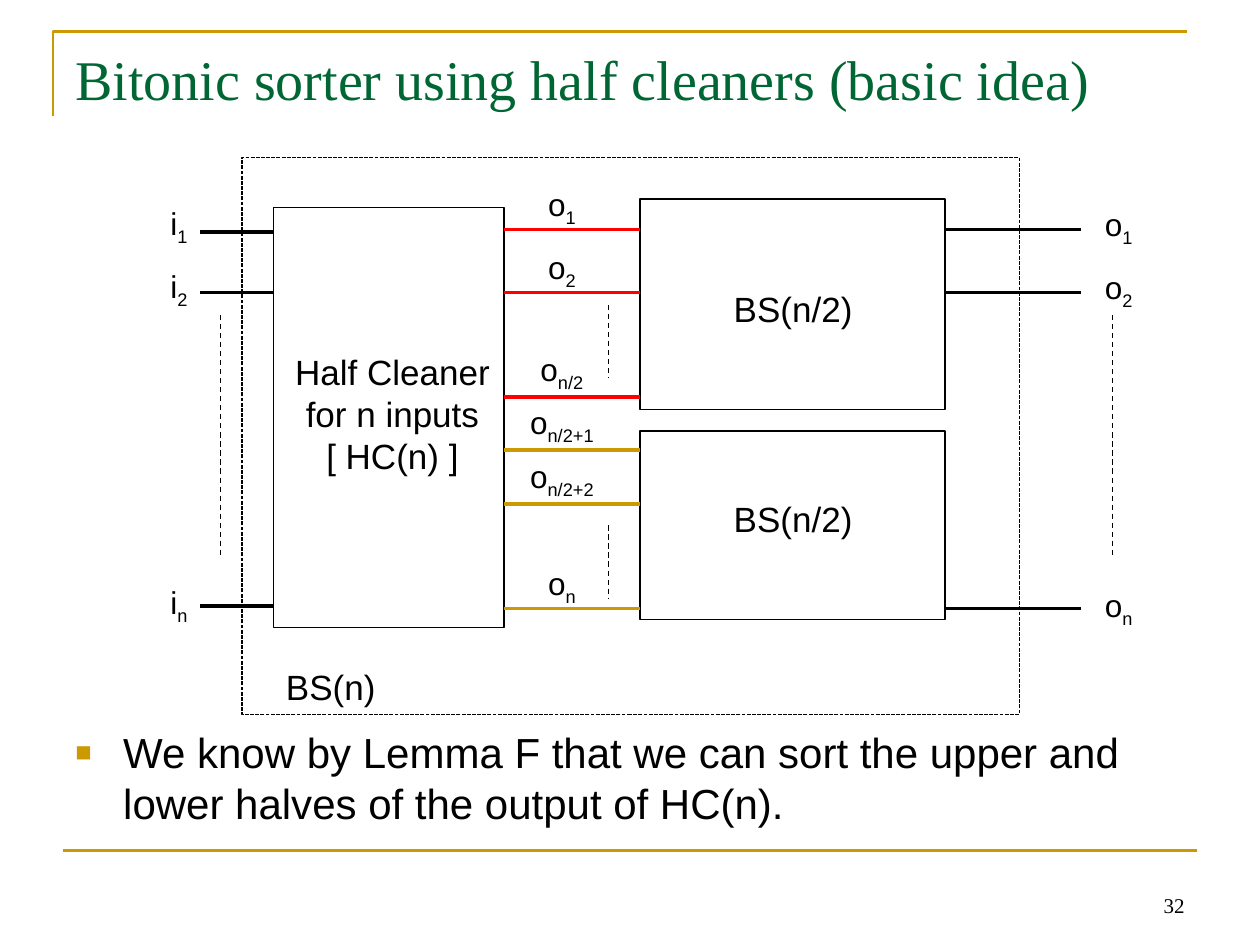
from dataclasses import dataclass

from lxml.etree import SubElement
from pptx import Presentation
from pptx.dml.color import RGBColor
from pptx.enum.dml import MSO_LINE
from pptx.enum.shapes import MSO_CONNECTOR, MSO_SHAPE
from pptx.enum.text import MSO_ANCHOR, PP_ALIGN
from pptx.oxml.ns import qn
from pptx.util import Inches, Pt


@dataclass(frozen=True)
class Theme:
    ink: str = "000000"
    gold: str = "CC9900"
    red: str = "FF0000"
    green: str = "006633"
    sans: str = "Arial"
    serif: str = "Times New Roman"
    title: int = 32
    body: int = 24
    block: int = 20
    label: int = 18
    page: int = 12
    thin: float = 0.75
    rule: float = 1.5
    wire: float = 2


class Board:
    def __init__(self, slide, theme):
        self.shapes = slide.shapes
        self.theme = theme

    def stroke(self, line, color, width, dash=None):
        line.color.rgb = RGBColor.from_string(color)
        line.width = Pt(width)
        if dash:
            line.dash_style = dash

    def line(self, start, end, color, width, dash=None):
        ends = [Inches(v) for v in (*start, *end)]
        link = self.shapes.add_connector(MSO_CONNECTOR.STRAIGHT, *ends)
        self.stroke(link.line, color, width, dash)
        SubElement(link._element.spPr, qn("a:effectLst"))

    def wire(self, left, right, y, color):
        self.line((left, y), (right, y), color, self.theme.wire)

    def gap(self, x, top, end):
        """Dashed upright that stands for the wires left out."""
        self.line((x, top), (x, end), self.theme.ink, self.theme.thin, MSO_LINE.DASH)

    def frame(self, *area, dash=None):
        box = self.shapes.add_shape(MSO_SHAPE.RECTANGLE, *map(Inches, area))
        box.shadow.inherit = False
        box.fill.background()
        self.stroke(box.line, self.theme.ink, self.theme.thin, dash)

    def corner(self, left, top, right, end):
        """Open outline along the left and top edges."""
        path = self.shapes.build_freeform(Inches(left), Inches(end))
        points = [(left, top), (right, top)]
        path.add_line_segments([(Inches(x), Inches(y)) for x, y in points], close=False)
        shape = path.convert_to_shape()
        shape.shadow.inherit = False
        shape.fill.background()
        self.stroke(shape.line, self.theme.gold, self.theme.rule)

    def text(self, area, lines, size, color=None, font=None,
             align=PP_ALIGN.LEFT, anchor=MSO_ANCHOR.TOP, wrap=True):
        frame = self.shapes.add_textbox(*map(Inches, area)).text_frame
        frame.word_wrap = wrap
        frame.vertical_anchor = anchor
        frame.text = "\n".join(lines)
        for para in frame.paragraphs:
            para.alignment = align
            para.font.size = Pt(size)
            para.font.name = font or self.theme.sans
            para.font.color.rgb = RGBColor.from_string(color or self.theme.ink)
        return frame.paragraphs[0]

    def block(self, area, *lines):
        self.text(area, lines, self.theme.block, align=PP_ALIGN.CENTER)

    def label(self, mid, top, name, sub):
        """Wire name with a subscript, centred on mid."""
        wide = 0.8
        para = self.text((mid - wide / 2, top, wide, 0.4), [name], self.theme.label,
                         align=PP_ALIGN.CENTER, wrap=False)
        run = para.add_run()
        run.text = sub
        run._r.get_or_add_rPr().set("baseline", "-25000")

    def bullet(self, area, words):
        frame = self.shapes.add_textbox(*map(Inches, area)).text_frame
        frame.word_wrap = True
        para = frame.paragraphs[0]
        para.text = words
        props = para._p.get_or_add_pPr()
        props.set("marL", str(Inches(0.38)))
        props.set("indent", str(-Inches(0.38)))
        tint = SubElement(props, qn("a:buClr"))
        SubElement(tint, qn("a:srgbClr"), val=self.theme.gold)
        SubElement(props, qn("a:buSzPct"), val="65000")
        SubElement(props, qn("a:buFont"), typeface=self.theme.sans)
        SubElement(props, qn("a:buChar"), char="■")
        para.font.size = Pt(self.theme.body)
        para.font.name = self.theme.sans
        para.font.color.rgb = RGBColor.from_string(self.theme.ink)


def main():
    deck = Presentation()
    deck.slide_width, deck.slide_height = Inches(10), Inches(7.5)
    theme = Theme()
    board = Board(deck.slides.add_slide(deck.slide_layouts[6]), theme)

    board.corner(0.42, 0.25, 9.42, 0.92)
    board.line((0.5, 6.75), (9.5, 6.75), theme.gold, theme.rule)
    board.text((7.17, 6.83, 2.33, 0.5), ["32"], theme.page, font=theme.serif,
               align=PP_ALIGN.RIGHT, anchor=MSO_ANCHOR.BOTTOM)
    board.text((0.5, 0.3, 9, 1.25), ["Bitonic sorter using half cleaners (basic idea)"],
               theme.title, theme.green, theme.serif)
    board.bullet((0.5, 5.72, 9, 0.9), "We know by Lemma F that we can sort the upper "
                 "and lower halves of the output of HC(n).")

    board.frame(1.92, 1.25, 6.17, 4.42, dash=MSO_LINE.SQUARE_DOT)
    board.frame(2.17, 1.65, 1.83, 3.33)
    board.frame(5.08, 1.58, 2.42, 1.67)
    board.frame(5.08, 3.42, 2.42, 1.5)
    board.block((2.24, 2.73, 1.75, 1.1), "Half Cleaner", "for n inputs", "[ HC(n) ]")
    for top in (2.23, 3.9):
        board.block((5.42, top, 1.75, 0.43), "BS(n/2)")
    board.block((1.75, 5.23, 1.75, 0.43), "BS(n)")

    # Subscript, wire height, label top
    inputs = [("1", 1.84, 1.57), ("2", 2.32, 2.07), ("n", 4.81, 4.58)]
    outputs = [("1", 1.82, 1.58), ("2", 2.32, 2.08), ("n", 4.83, 4.6)]
    upper = [("1", 1.82, 1.42), ("2", 2.32, 1.92), ("n/2", 3.15, 2.73)]
    lower = [("n/2+1", 3.57, 3.15), ("n/2+2", 4, 3.58), ("n", 4.83, 4.43)]
    # Name, label centre, wire ends, colour, wires
    groups = [
        ("i", 1.42, 1.59, 2.17, theme.ink, inputs),
        ("o", 4.46, 4, 5.08, theme.red, upper),
        ("o", 4.46, 4, 5.08, theme.gold, lower),
        ("o", 8.88, 7.5, 8.58, theme.ink, outputs),
    ]
    for name, mid, left, right, color, wires in groups:
        for sub, y, top in wires:
            board.wire(left, right, y, color)
            board.label(mid, top, name, sub)

    for x in (1.75, 8.83):
        board.gap(x, 2.5, 4.42)
    for top in (2.42, 4.17):
        board.gap(4.83, top, top + 0.58)

    deck.save("out.pptx")


if __name__ == "__main__":
    main()
